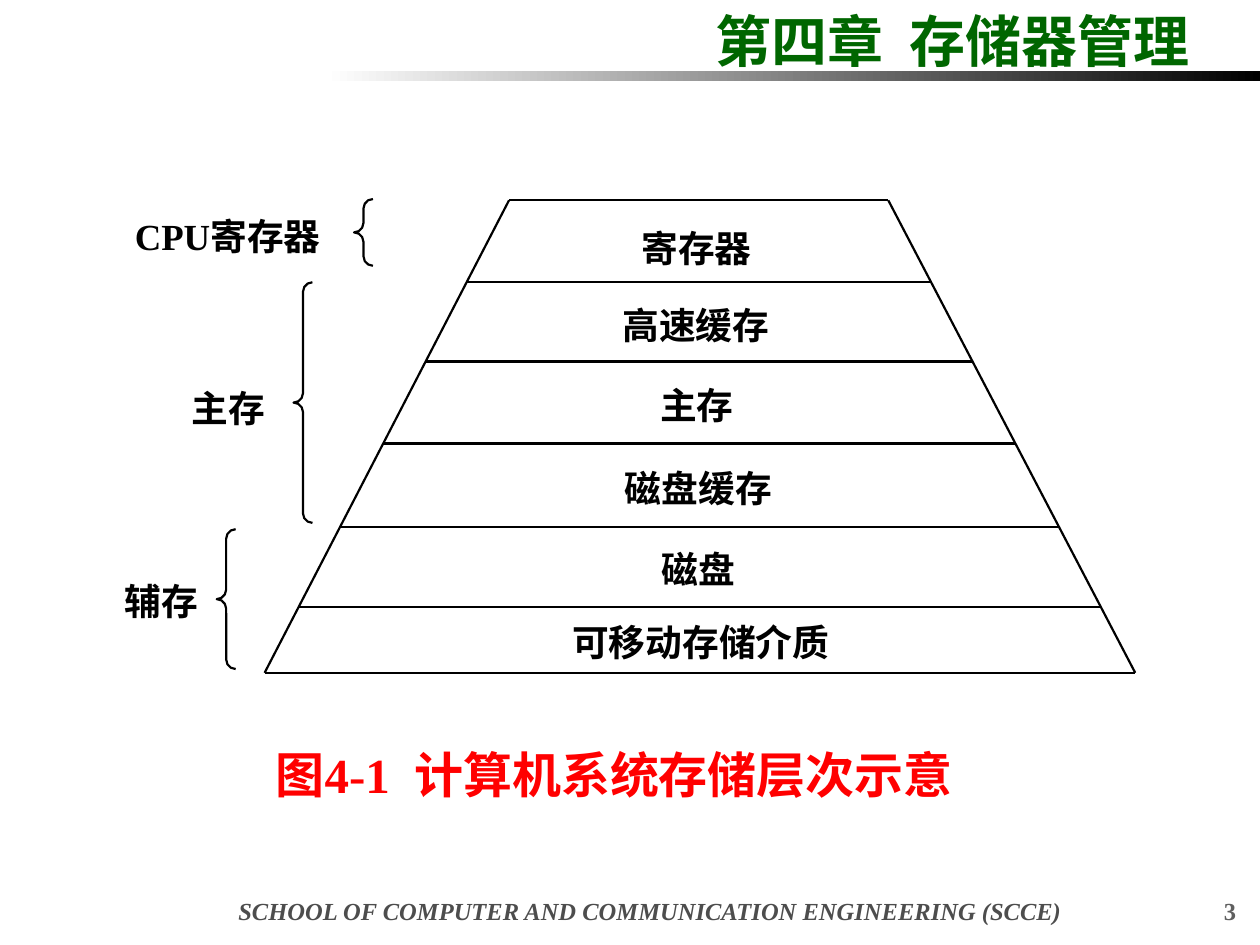
from pptx import Presentation
from pptx.dml.color import RGBColor
from pptx.enum.shapes import MSO_CONNECTOR as Connector, MSO_SHAPE as Shape
from pptx.enum.text import MSO_ANCHOR as Anchor, MSO_AUTO_SIZE as AutoSize, PP_ALIGN as Align
from pptx.oxml.ns import qn
from pptx.util import Inches, Pt
from lxml import etree

COLORS = {
    "black": "000000",
    "white": "FFFFFF",
    "chapter": "006600",
    "caption": "FF0000",
    "footer": "4D4D4D",
    "number": "5F5F5F",
}
FONT = "Times New Roman"


def write(box, text, size, color, align=Align.LEFT, margins=(0.1, 0.05), wrap=False, italic=False):
    frame = box.text_frame
    frame.word_wrap = wrap
    frame.auto_size = AutoSize.NONE
    frame.vertical_anchor = Anchor.TOP
    frame.margin_left = frame.margin_right = Inches(margins[0])
    frame.margin_top = frame.margin_bottom = Inches(margins[1])
    paragraph = frame.paragraphs[0]
    paragraph.text = text
    paragraph.alignment = align
    paragraph.font.name = FONT
    paragraph.font.size = Pt(size)
    paragraph.font.bold = True
    paragraph.font.italic = italic
    paragraph.font.color.rgb = RGBColor.from_string(COLORS[color])


def draw_line(page, x1, y1, x2, y2):
    line = page.shapes.add_connector(
        Connector.STRAIGHT, Inches(x1), Inches(y1), Inches(x2), Inches(y2))
    line.line.color.rgb = RGBColor.from_string(COLORS["black"])
    line.line.width = Pt(1.25)
    etree.SubElement(line._element.spPr, qn("a:effectLst"))


deck = Presentation()
deck.slide_width, deck.slide_height = Inches(10), Inches(7.5)
page = deck.slides.add_slide(deck.slide_layouts[5])

title = page.shapes.title
title.left, title.top, title.width, title.height = Inches(5.58), Inches(0), Inches(4.42), Inches(0.64)
write(title, "第四章  存储器管理", 32, "chapter", wrap=True)

bar = page.shapes.add_shape(Shape.RECTANGLE, Inches(2.58), Inches(0.56), Inches(7.42), Inches(0.08))
bar.shadow.inherit = False
bar.line.fill.background()
bar.fill.gradient()
bar.fill.gradient_angle = 0
for stop, position, color in zip(bar.fill.gradient_stops, (0, 1), ("white", "black")):
    stop.position = position
    stop.color.rgb = RGBColor.from_string(COLORS[color])

footer = page.shapes.add_textbox(Inches(1.54), Inches(7.06), Inches(7.24), Inches(0.28))
write(footer, "SCHOOL OF COMPUTER AND COMMUNICATION ENGINEERING (SCCE)", 14, "footer",
      Align.CENTER, wrap=True, italic=True)
number = page.shapes.add_textbox(Inches(7.83), Inches(7.06), Inches(2.08), Inches(0.28))
write(number, "3", 14, "number", Align.RIGHT, wrap=True)
caption = page.shapes.add_textbox(Inches(2.09), Inches(5.86), Inches(5.84), Inches(0.57))
write(caption, "图4-1  计算机系统存储层次示意", 28, "caption")

top, bottom = 1.59, 5.34
top_left, top_right = 4.04, 7.05
bottom_left, bottom_right = 2.1, 9.01
draw_line(page, bottom_left, bottom, top_left, top)
draw_line(page, top_right, top, bottom_right, bottom)
for y in (top, 2.24, 2.87, 3.52, 4.18, 4.82, bottom):
    depth = (y - top) / (bottom - top)
    draw_line(page, top_left + depth * (bottom_left - top_left), y,
              top_right + depth * (bottom_right - top_right), y)

for left, brace_top, height in ((2.81, 1.58, 0.53), (2.33, 2.24, 1.91), (1.72, 4.2, 1.11)):
    brace = page.shapes.add_shape(
        Shape.LEFT_BRACE, Inches(left), Inches(brace_top), Inches(0.15), Inches(height))
    brace.adjustments[0] = 0.5
    brace.shadow.inherit = False
    brace.fill.background()
    brace.line.color.rgb = RGBColor.from_string(COLORS["black"])
    brace.line.width = Pt(1.25)

labels = [
    ("寄存器", 5.09, 1.79, 0.88),
    ("高速缓存", 4.94, 2.4, 1.17),
    ("主存", 5.24, 3.04, 0.58),
    ("磁盘缓存", 4.96, 3.7, 1.17),
    ("磁盘", 5.25, 4.34, 0.58),
    ("可移动存储介质", 4.54, 4.92, 2.04),
    ("CPU寄存器", 1.07, 1.7, 1.54),
    ("主存", 1.52, 3.06, 0.58),
    ("辅存", 0.99, 4.59, 0.58),
]
for text, left, label_top, width in labels:
    label = page.shapes.add_textbox(Inches(left), Inches(label_top), Inches(width), Inches(0.35))
    write(label, text, 21, "black", margins=(0, 0))

deck.save("out.pptx")
